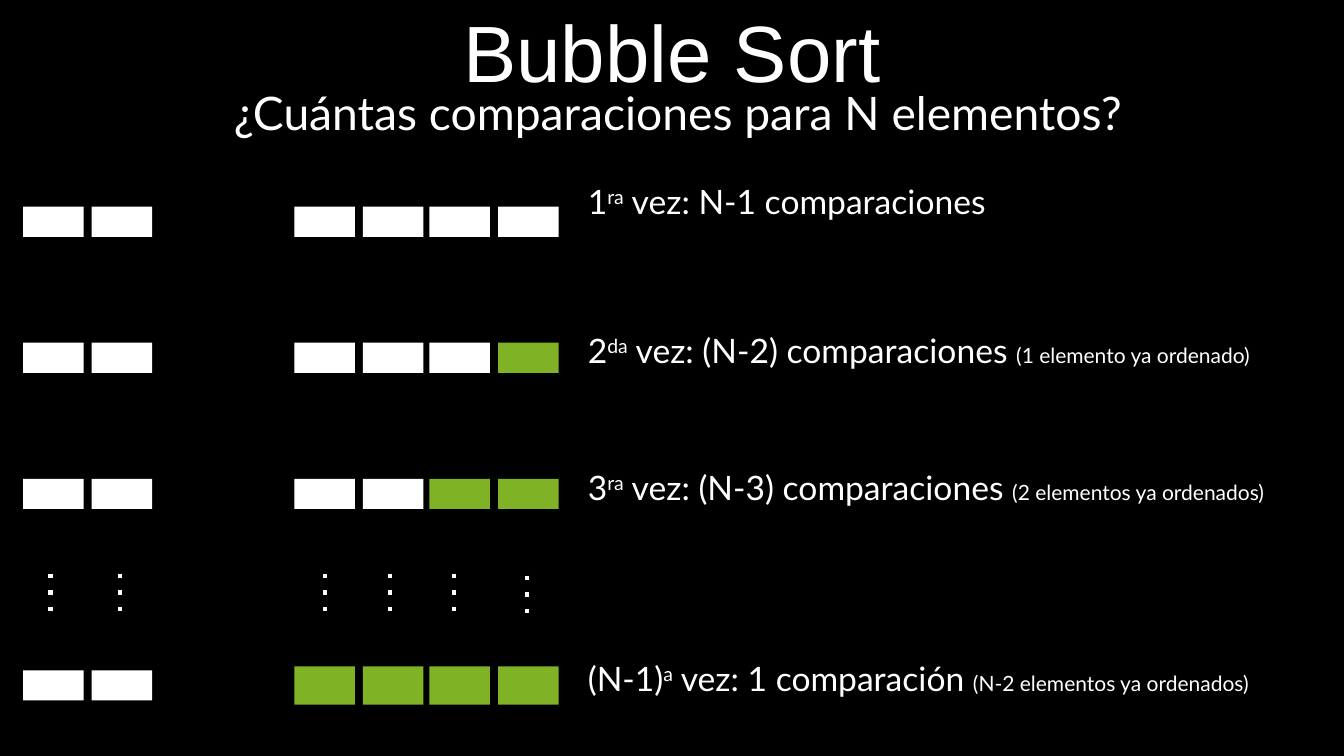
from lxml.etree import SubElement
from pptx import Presentation
from pptx.dml.color import RGBColor
from pptx.enum.shapes import MSO_CONNECTOR, MSO_SHAPE
from pptx.enum.text import MSO_ANCHOR, PP_ALIGN
from pptx.oxml.ns import qn
from pptx.util import Pt

PX = 9144
COLORS = {"background": "000000", "pending": "FFFFFF", "sorted": "80B226", "text": "FFFFFF"}
CELL_OFFSETS = (0, 68, 269, 337, 403, 471)
CELL_WIDTH, CELL_HEIGHT = 60, 30
DOT_OFFSETS = (0, 69, 272, 337, 400, 473)
PASSES = [
    (205, 175, 0, 30, "1", "ra", " vez: N-1 comparaciones", ""),
    (340, 323, 1, 30, "2", "da", " vez: (N-2) comparaciones ", "(1 elemento ya ordenado)"),
    (475, 459, 2, 30, "3", "ra", " vez: (N-3) comparaciones ", "(2 elementos ya ordenados)"),
    (665, 648, 4, 38, "(N-1)", "a", " vez: 1 comparación ", "(N-2 elementos ya ordenados)"),
]


def px(*lengths):
    """Turn px lengths into EMU."""
    return [length * PX for length in lengths]


def rgb(name):
    """Look up a colour by its role."""
    return RGBColor.from_string(COLORS[name])


def add_line_of_text(slide, box, runs, align=PP_ALIGN.LEFT, font="Lato"):
    """Write (text, size, baseline) runs as one paragraph in the box."""
    frame = slide.shapes.add_textbox(*px(*box)).text_frame
    frame.word_wrap = True
    frame.vertical_anchor = MSO_ANCHOR.MIDDLE
    frame.margin_left = frame.margin_top = frame.margin_right = frame.margin_bottom = 4 * PX
    paragraph = frame.paragraphs[0]
    paragraph.alignment = align
    for text, size, baseline in runs:
        run = paragraph.add_run()
        run.text = text
        run.font.name, run.font.size = font, Pt(size)
        run.font.color.rgb = rgb("text")
        if baseline:
            run.font._element.set("baseline", str(baseline * 1000))


def add_heading(slide, left, top, width):
    """Place the title and the question under it."""
    add_line_of_text(slide, (left + 58, top + 81, width - 104, 64),
                     [("¿Cuántas comparaciones para N elementos?", 33, 0)], PP_ALIGN.CENTER)
    add_line_of_text(slide, (left, top, width, 104), [("Bubble Sort", 57, 0)],
                     PP_ALIGN.CENTER, "Arial")


def add_array(slide, left, top, sorted_count, sorted_height):
    """Draw the cells of one pass, with the sorted ones at the right end."""
    first_sorted = len(CELL_OFFSETS) - sorted_count
    for index, offset in enumerate(CELL_OFFSETS):
        state, height = ("pending", CELL_HEIGHT) if index < first_sorted else ("sorted", sorted_height)
        cell_top = top - (height - CELL_HEIGHT) // 2
        cell = slide.shapes.add_shape(
            MSO_SHAPE.RECTANGLE, *px(left + offset, cell_top, CELL_WIDTH, height))
        cell.shadow.inherit = False
        cell.fill.solid()
        cell.fill.fore_color.rgb = rgb(state)
        cell.line.fill.background()


def add_pass_label(slide, left, top, width, number, ordinal, count, note):
    """Write how many comparisons one pass takes."""
    runs = [(number, 24, 0), (ordinal, 24, 30), (count, 24, 0)]
    if note:
        runs.append((note, 15, 0))
    add_line_of_text(slide, (left, top, width, 49), runs)


def add_ellipsis(slide, left, top, height):
    """Draw the dotted lines that stand for the passes left out."""
    for offset in DOT_OFFSETS:
        x = left + offset
        y = top + 2 * (offset == DOT_OFFSETS[-1])
        dots = slide.shapes.add_connector(MSO_CONNECTOR.STRAIGHT, *px(x, y, x, y + height))
        dots.line.color.rgb = rgb("pending")
        dots.line.width = Pt(3)
        SubElement(dots.line._get_or_add_ln(), qn("a:prstDash"), val="dot")
        SubElement(dots._element.spPr, qn("a:effectLst"))


def main():
    """Build the slide and save it."""
    deck = Presentation()
    deck.slide_width, deck.slide_height = px(1333, 750)
    slide = deck.slides.add_slide(deck.slide_layouts[6])
    slide.background.fill.solid()
    slide.background.fill.fore_color.rgb = rgb("background")
    add_heading(slide, 0, -2, 1333)
    for array_top, label_top, sorted_count, sorted_height, *label in PASSES:
        add_array(slide, 23, array_top, sorted_count, sorted_height)
        add_pass_label(slide, 579, label_top, 754, *label)
    add_ellipsis(slide, 50, 569, 37)
    deck.save("out.pptx")


if __name__ == "__main__":
    main()
